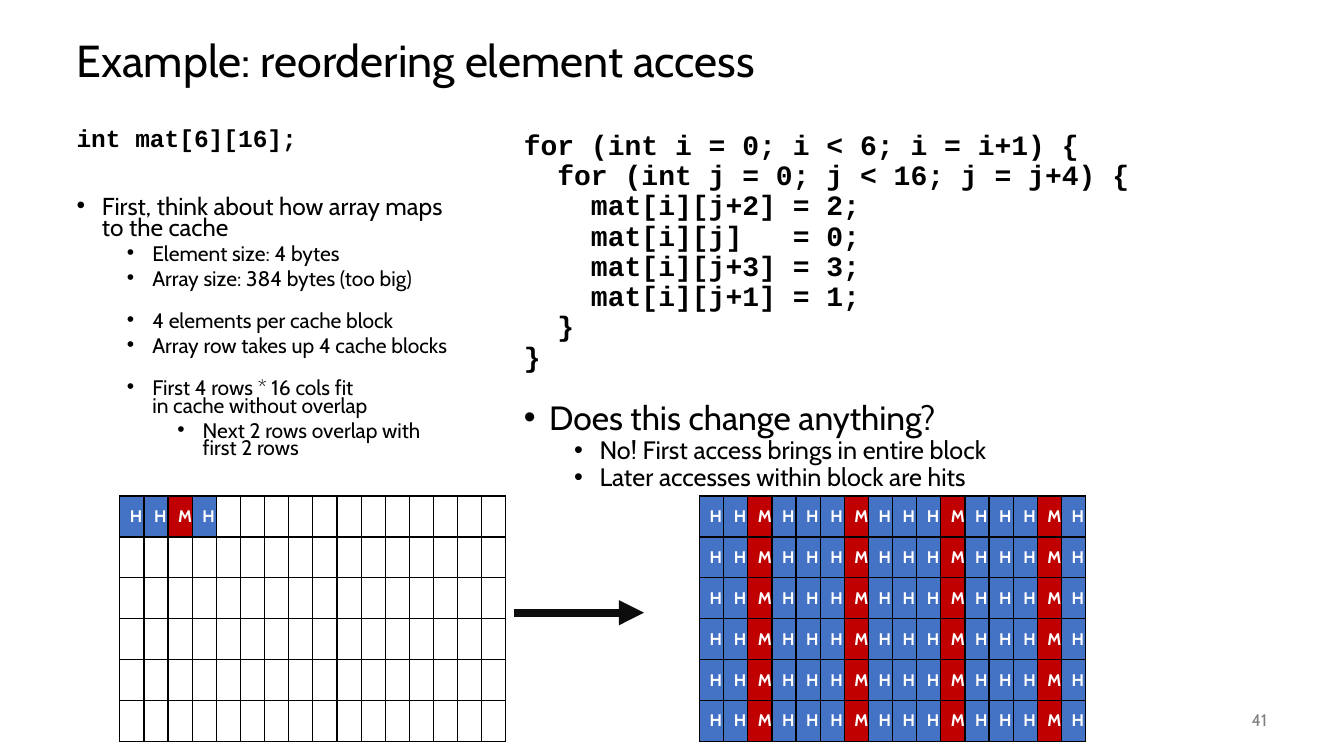
"""Build the slide on reordering element access within cache blocks."""
import pptx
import pptx.dml.color
import pptx.enum.shapes
import pptx.enum.text
import pptx.oxml
import pptx.oxml.ns
import pptx.util

Cm, Pt = pptx.util.Cm, pptx.util.Pt
ANCHOR, ALIGN = pptx.enum.text.MSO_ANCHOR, pptx.enum.text.PP_ALIGN
NS = pptx.oxml.ns.nsdecls("a")
SANS, MONO = "Cabin", "Courier New"
BLACK, WHITE = "000000", "FFFFFF"


def rgb(value):
    return pptx.dml.color.RGBColor.from_string(value)


def add_run(p, text, size, font=SANS, color=BLACK, bold=False):
    r = p.add_run()
    r.text = text
    r.font.size, r.font.name, r.font.bold = Pt(size), font, bold
    r.font.color.rgb = rgb(color)


prs = pptx.Presentation()
prs.slide_width, prs.slide_height = Cm(33.87), Cm(19.05)
slide = prs.slides.add_slide(prs.slide_layouts[6])

# (level, size, space before, text); level None is code
declaration = [
    (None, 17.5, 0, "int mat[6][16];"),
    (0, 17.5, 34, "First, think about how array maps to the cache"),
    (1, 15, 5, "Element size: 4 bytes"),
    (1, 15, 5, "Array size: 384 bytes (too big)"),
    (1, 15, 17.75, "4 elements per cache block"),
    (1, 15, 5, "Array row takes up 4 cache blocks"),
    (1, 15, 17.75, "First 4 rows * 16 cols fit\nin cache without overlap"),
    (2, 15, 5, "Next 2 rows overlap with first 2 rows"),
]
code = """for (int i = 0; i < 6; i = i+1) {
  for (int j = 0; j < 16; j = j+4) {
    mat[i][j+2] = 2;
    mat[i][j]   = 0;
    mat[i][j+3] = 3;
    mat[i][j+1] = 1;
  }
}"""
loop = [(None, 20, 0, line) for line in code.split("\n")] + [
    (0, 24, 20, "Does this change anything?"),
    (1, 18, 0, "No! First access brings in entire block"),
    (1, 18, 0, "Later accesses within block are hits"),
]

for left, top, width, height, size, color, align, text in [
    (1.68, 0.64, 30.48, 1.9, 32, BLACK, ALIGN.LEFT, "Example: reordering element access"),
    (29.64, 17.65, 2.54, 1.02, 12, "808080", ALIGN.RIGHT, "41"),
]:
    tf = slide.shapes.add_textbox(Cm(left), Cm(top), Cm(width), Cm(height)).text_frame
    tf.word_wrap, tf.vertical_anchor = True, ANCHOR.MIDDLE
    p = tf.paragraphs[0]
    p.alignment, p.line_spacing = align, 0.9
    add_run(p, text, size, color=color)

for left, width, height, spacing, items in [
    (12.95, 19.23, 13.97, 0.9, loop),
    (1.68, 9.98, 9.07, 0.7, declaration),
]:
    tf = slide.shapes.add_textbox(Cm(left), Cm(3.18), Cm(width), Cm(height)).text_frame
    tf.word_wrap = True
    for i, (level, size, before, text) in enumerate(items):
        p = tf.add_paragraph() if i else tf.paragraphs[0]
        p.line_spacing = spacing
        if before:
            p.space_before = Pt(before)
        if level is not None:
            p.level = level
            pPr = p._p.get_or_add_pPr()
            pPr.set("marL", str(Cm(0.64 + 1.27 * level)))
            pPr.set("indent", str(-Cm(0.64)))
            pPr.append(pptx.oxml.parse_xml(f'<a:buFont {NS} typeface="Arial"/>'))
            pPr.append(pptx.oxml.parse_xml(f'<a:buChar {NS} char="•"/>'))
        for n, line in enumerate(text.split("\n")):
            if n:
                p.add_line_break()
            add_run(p, line, size, MONO if level is None else SANS, bold=level is None)

ROWS, COLS = 6, 16
BLOCK = "HHMH"
FILLS = {"H": "4472C4", "M": "C00000", " ": WHITE}
first_block = [BLOCK.ljust(COLS)] + [" " * COLS] * (ROWS - 1)
all_blocks = [BLOCK * (COLS // len(BLOCK))] * ROWS

for left, accesses in [(17.63, all_blocks), (3.02, first_block)]:
    table = slide.shapes.add_table(ROWS, COLS, Cm(left), Cm(12.5), Cm(9.25), Cm(6.18)).table
    table.first_row = table.horz_banding = False
    for row in table.rows:
        row.height = Cm(1.03)
    for col in table.columns:
        col.width = Cm(0.58)
    for i, row in enumerate(accesses):
        for j, access in enumerate(row):
            cell = table.cell(i, j)
            cell.vertical_anchor = ANCHOR.MIDDLE
            tcPr = cell._tc.get_or_add_tcPr()
            for side in ("lnL", "lnR", "lnT", "lnB"):
                tcPr.append(pptx.oxml.parse_xml(
                    f'<a:{side} {NS} w="12700"><a:solidFill><a:srgbClr val="{BLACK}"/>'
                    f'</a:solidFill></a:{side}>'))
            cell.fill.solid()
            cell.fill.fore_color.rgb = rgb(FILLS[access])
            if access != " ":
                p = cell.text_frame.paragraphs[0]
                p.alignment = ALIGN.CENTER
                add_run(p, access, 12, color=WHITE, bold=True)

arrow = slide.shapes.add_connector(
    pptx.enum.shapes.MSO_CONNECTOR.STRAIGHT, Cm(12.95), Cm(15.44), Cm(16.23), Cm(15.44))
arrow.line.width = Pt(6)
arrow.line.color.rgb = rgb("0D0D0D")
arrow.line._get_or_add_ln().append(pptx.oxml.parse_xml(f'<a:tailEnd {NS} type="triangle"/>'))
arrow._element.spPr.append(pptx.oxml.parse_xml(f'<a:effectLst {NS}/>'))

prs.save("out.pptx")
